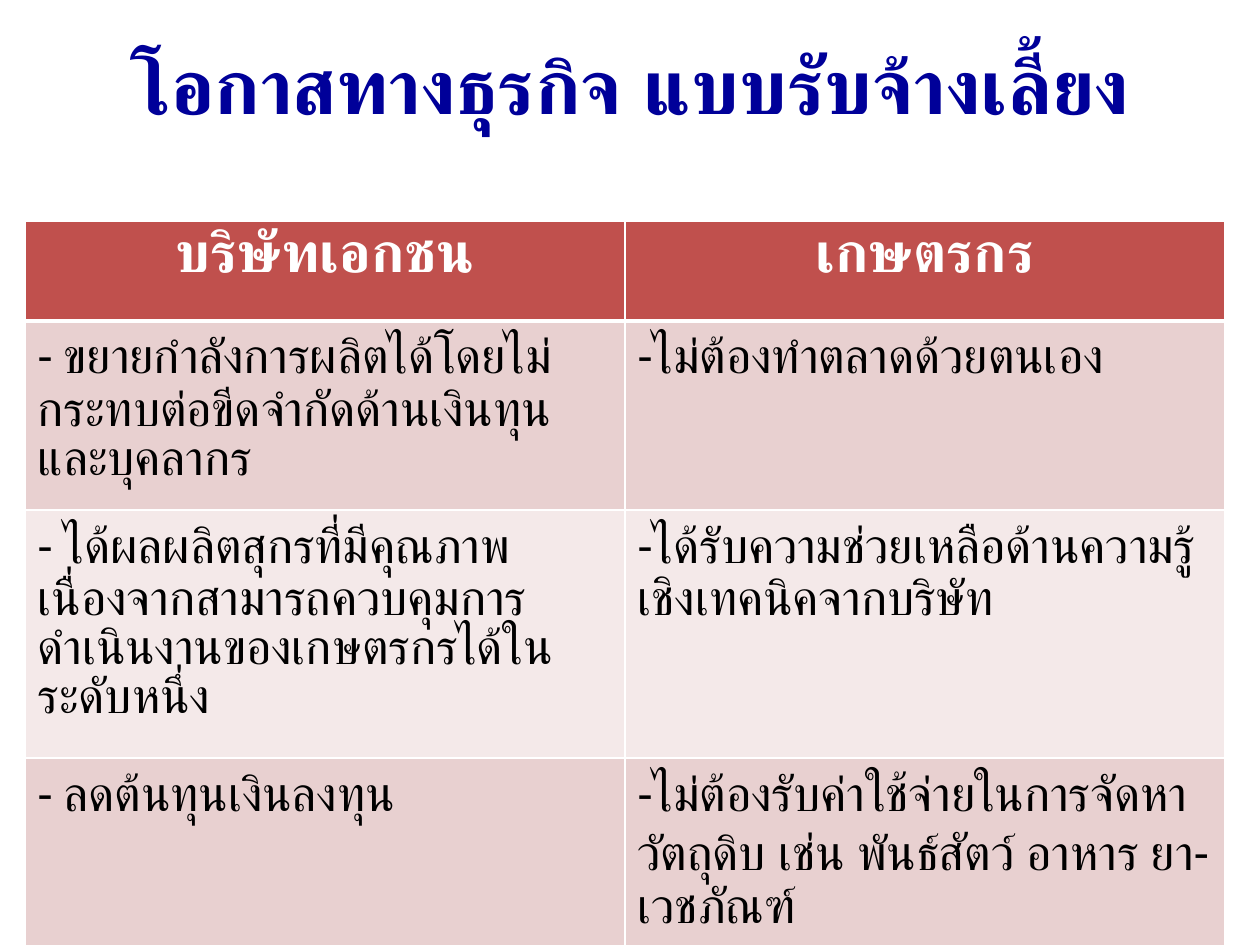
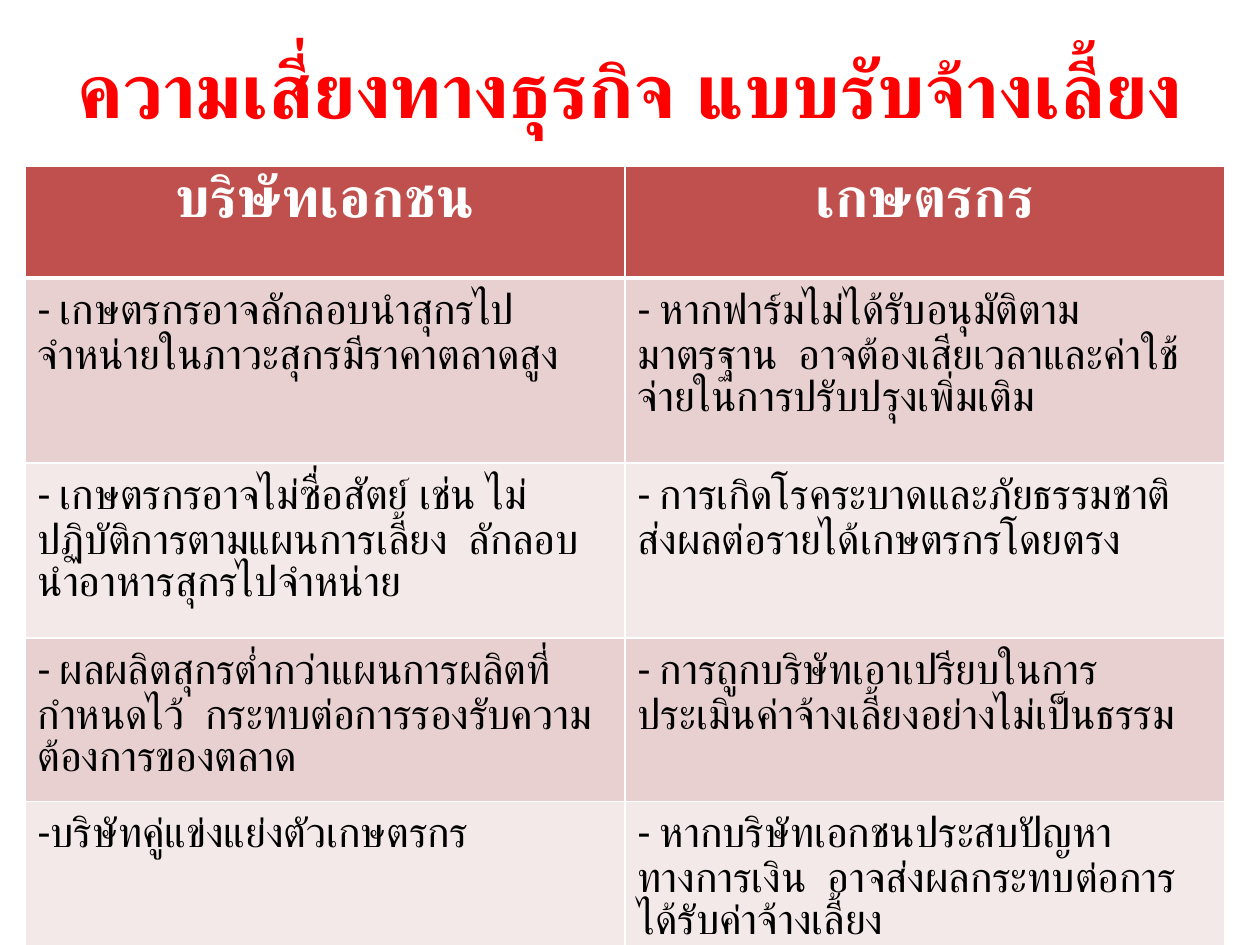
import pptx
import pptx.util
import pptx.dml.color
import pptx.enum.text
import pptx.oxml.ns
import lxml.etree

PIXELS_PER_INCH = 126
FONT = "Calibri"
WHITE, BLACK, NAVY, RED = "FFFFFF", "000000", "000099", "FF0000"
HEADER_FILL = "C0504D"
BAND_FILLS = ("E8D0D0", "F4E9E9")
TITLE_SIZE, HEADER_SIZE = 44, 32
TABLE_LEFT, COLUMN_WIDTH = 25, 600
THIN, THICK = 1, 3
HEADERS = ("บริษัทเอกชน", "เกษตรกร")

OPPORTUNITIES = (
    ("- ขยายกำลังการผลิตได้โดยไม่กระทบต่อขีดจำกัดด้านเงินทุนและบุคลากร",
     "-ไม่ต้องทำตลาดด้วยตนเอง"),
    ("- ได้ผลผลิตสุกรที่มีคุณภาพ เนื่องจากสามารถควบคุมการดำเนินงานของเกษตรกรได้ในระดับหนึ่ง",
     "-ได้รับความช่วยเหลือด้านความรู้เชิงเทคนิคจากบริษัท"),
    ("- ลดต้นทุนเงินลงทุน",
     "-ไม่ต้องรับค่าใช้จ่ายในการจัดหาวัตถุดิบ เช่น พันธ์สัตว์ อาหาร ยา-เวชภัณฑ์"),
)
RISKS = (
    ("- เกษตรกรอาจลักลอบนำสุกรไปจำหน่ายในภาวะสุกรมีราคาตลาดสูง",
     "- หากฟาร์มไม่ได้รับอนุมัติตามมาตรฐาน  อาจต้องเสียเวลาและค่าใช้จ่ายในการปรับปรุงเพิ่มเติม"),
    ("- เกษตรกรอาจไม่ซื่อสัตย์ เช่น ไม่ปฏิบัติการตามแผนการเลี้ยง  ลักลอบนำอาหารสุกรไปจำหน่าย",
     "- การเกิดโรคระบาดและภัยธรรมชาติ  ส่งผลต่อรายได้เกษตรกรโดยตรง"),
    ("- ผลผลิตสุกรต่ำกว่าแผนการผลิตที่กำหนดไว้  กระทบต่อการรองรับความต้องการของตลาด",
     "- การถูกบริษัทเอาเปรียบในการประเมินค่าจ้างเลี้ยงอย่างไม่เป็นธรรม"),
    ("-บริษัทคู่แข่งแย่งตัวเกษตรกร",
     "- หากบริษัทเอกชนประสบปัญหาทางการเงิน  อาจส่งผลกระทบต่อการได้รับค่าจ้างเลี้ยง"),
)


def px(pixels):
    return pptx.util.Emu(round(pixels * 914400 / PIXELS_PER_INCH))


def rgb(color):
    return pptx.dml.color.RGBColor.from_string(color)


def write(frame, text, size, color=BLACK, bold=False, centered=False):
    para = frame.paragraphs[0]
    align = pptx.enum.text.PP_ALIGN
    para.alignment = align.CENTER if centered else align.LEFT
    span = para.add_run()
    span.text = text
    span.font.name = FONT
    span.font.size = pptx.util.Pt(size)
    span.font.bold = bold
    span.font.color.rgb = rgb(color)


def add_title(page, text, color, top, height):
    box = page.shapes.add_textbox(0, px(top), px(1260), px(height))
    frame = box.text_frame
    frame.word_wrap = True
    frame.vertical_anchor = pptx.enum.text.MSO_ANCHOR.MIDDLE
    write(frame, text, TITLE_SIZE, color, bold=True, centered=True)


def add_borders(cell, top=THIN, bottom=THIN):
    properties = cell._tc.get_or_add_tcPr()
    qn = pptx.oxml.ns.qn
    for side, width in (("L", THIN), ("R", THIN), ("T", top), ("B", bottom)):
        line = lxml.etree.SubElement(properties, qn("a:ln" + side),
                                     w=str(pptx.util.Pt(width)))
        fill = lxml.etree.SubElement(line, qn("a:solidFill"))
        lxml.etree.SubElement(fill, qn("a:srgbClr"), val=WHITE)


def paint(cell, color):
    cell.fill.solid()
    cell.fill.fore_color.rgb = rgb(color)


def add_comparison(page, body, top, height, row_heights, size):
    table = page.shapes.add_table(len(body) + 1, len(HEADERS), px(TABLE_LEFT), px(top),
                                  px(COLUMN_WIDTH * len(HEADERS)), px(height)).table
    for column in table.columns:
        column.width = px(COLUMN_WIDTH)
    for row, row_height in zip(table.rows, row_heights):
        row.height = px(row_height)

    # Header row, with a thick rule below
    for cell, text in zip(table.rows[0].cells, HEADERS):
        add_borders(cell, bottom=THICK)
        paint(cell, HEADER_FILL)
        write(cell.text_frame, text, HEADER_SIZE, WHITE, bold=True, centered=True)

    # Body rows, in alternating bands
    for index, texts in enumerate(body):
        for cell, text in zip(table.rows[index + 1].cells, texts):
            add_borders(cell, top=THIN if index else THICK)
            paint(cell, BAND_FILLS[index % 2])
            write(cell.text_frame, text, size)


def add_page(deck):
    page = deck.slides.add_slide(deck.slide_layouts[6])
    page.background.fill.solid()
    page.background.fill.fore_color.rgb = rgb(WHITE)
    return page


def main():
    deck = pptx.Presentation()
    deck.slide_width, deck.slide_height = px(1260), px(945)

    # Opportunities
    page = add_page(deck)
    add_title(page, "โอกาสทางธุรกิจ แบบรับจ้างเลี้ยง", NAVY, 16, 135)
    add_comparison(page, OPPORTUNITIES, 221, 604, (100, 184, 184, 100), 28)

    # Risks
    page = add_page(deck)
    add_title(page, "ความเสี่ยงทางธุรกิจ แบบรับจ้างเลี้ยง", RED, 0, 175)
    add_comparison(page, RISKS, 166, 731, (112, 185, 175, 145, 112), 24)

    deck.save("out.pptx")


main()
